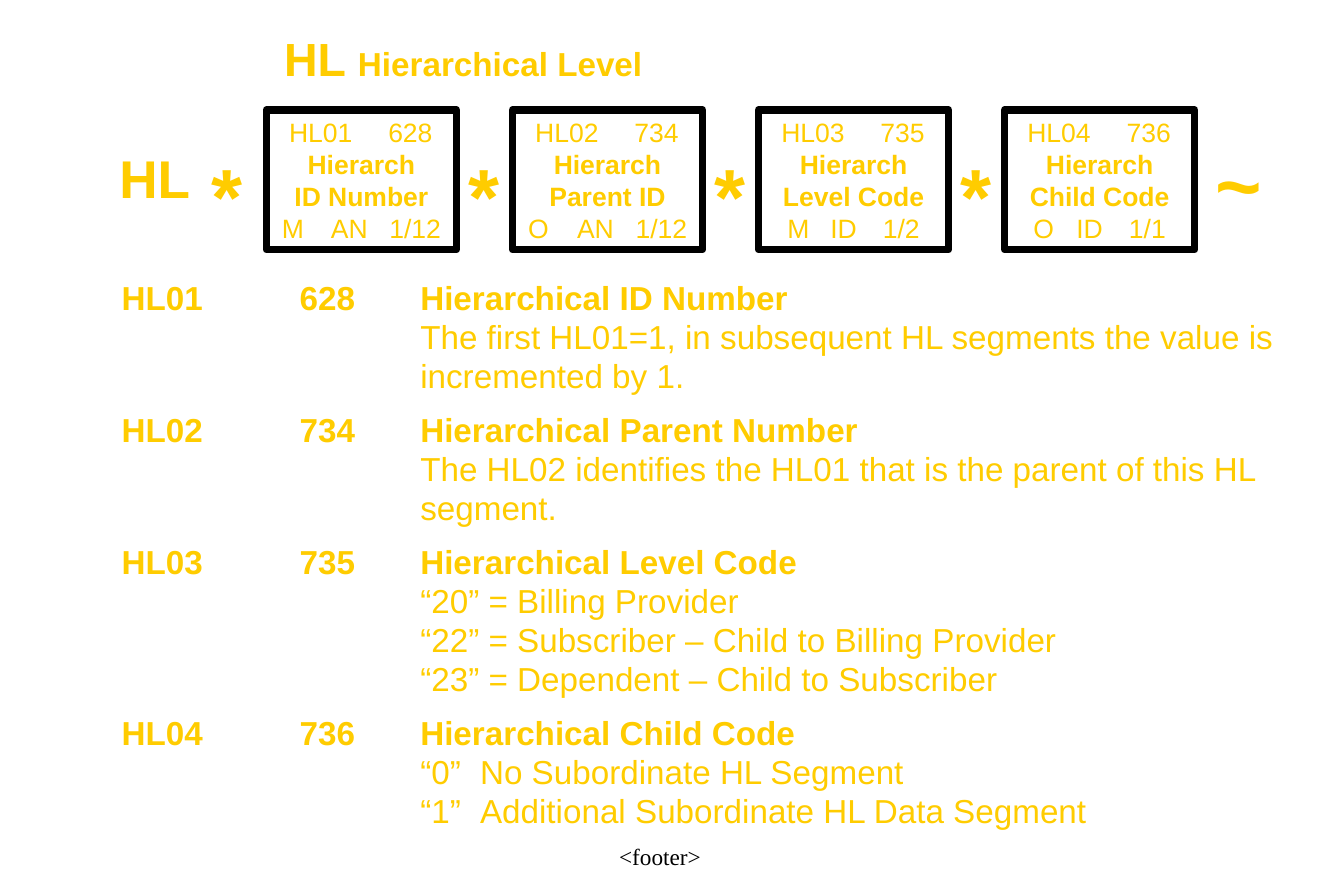
import pptx
import pptx.dml.color
import pptx.enum.shapes
import pptx.enum.text
import pptx.oxml.ns
import pptx.util
from lxml import etree
from pptx.util import Inches

GOLD = "FFCC00"
BLACK = "000000"
BOX_LEFT, BOX_STEP, BOX_WIDTH = 2.23, 2.06, 1.59
ID_STOPS = (0.19, 1.02)
LONG_STOPS = (0.13, 0.54, 1.03)
SHORT_STOPS = (0.24, 0.6, 1.04)
DETAIL_STOPS = (1.49, 2.5, 3)

# reference, number, name in box, requirement, type, length, stops of the type row
ELEMENTS = [
    ("HL01", "628", "ID Number", "M", "AN", "1/12", LONG_STOPS),
    ("HL02", "734", "Parent ID", "O", "AN", "1/12", LONG_STOPS),
    ("HL03", "735", "Level Code", "M", "ID", "1/2", SHORT_STOPS),
    ("HL04", "736", "Child Code", "O", "ID", "1/1", SHORT_STOPS),
]

DETAILS = [
    ("Hierarchical ID Number",
     ["The first HL01=1, in subsequent HL segments the value is",
      "incremented by 1."]),
    ("Hierarchical Parent Number",
     ["The HL02 identifies the HL01 that is the parent of this HL",
      "segment."]),
    ("Hierarchical Level Code",
     ["“20” = Billing Provider",
      "“22” = Subscriber – Child to Billing Provider",
      "“23” = Dependent – Child to Subscriber"]),
    ("Hierarchical Child Code",
     ["“0”\tNo Subordinate HL Segment",
      "“1”\tAdditional Subordinate HL Data Segment"]),
]


def rgb(color):
    return pptx.dml.color.RGBColor.from_string(color)


def set_tabs(paragraph, stops):
    tag = pptx.oxml.ns.qn
    tabs = etree.SubElement(paragraph._p.get_or_add_pPr(), tag("a:tabLst"))
    for stop in stops:
        etree.SubElement(tabs, tag("a:tab"), pos=str(Inches(stop)), algn="l")


def write_line(frame, text, size, bold=False, color=GOLD, font="Arial",
               align="LEFT", stops=(), before=0, spacing=None):
    """Fill the frame's empty first paragraph, or add one after the last."""
    line = frame.paragraphs[-1]
    if line.text:
        line = frame.add_paragraph()
    line.text = text
    if stops:
        set_tabs(line, stops)
    line.alignment = getattr(pptx.enum.text.PP_ALIGN, align)
    line.space_before = pptx.util.Pt(before)
    if spacing:
        line.line_spacing = pptx.util.Pt(spacing)
    line.font.name = font
    line.font.size = pptx.util.Pt(size)
    line.font.bold = bold
    line.font.color.rgb = rgb(color)
    return line


def add_text_frame(slide, left, top, width, height):
    frame = slide.shapes.add_textbox(
        Inches(left), Inches(top), Inches(width), Inches(height)).text_frame
    frame.word_wrap = True
    return frame


def add_symbol(slide, symbol, left, top):
    frame = add_text_frame(slide, left, top, 0.47, 0.9)
    write_line(frame, symbol, 48, bold=True, before=30)


def add_element_box(slide, left, element):
    reference, number, name, requirement, kind, length, stops = element
    box = slide.shapes.add_shape(
        pptx.enum.shapes.MSO_SHAPE.RECTANGLE,
        Inches(left), Inches(0.92), Inches(BOX_WIDTH), Inches(1.17))
    box.shadow.inherit = False
    box.fill.background()
    box.line.color.rgb = rgb(BLACK)
    box.line.width = pptx.util.Pt(4.5)
    frame = box.text_frame
    frame.word_wrap = True
    frame.margin_left = frame.margin_right = 0
    frame.vertical_anchor = pptx.enum.text.MSO_ANCHOR.MIDDLE
    write_line(frame, f"\t{reference}\t{number}", 16, stops=ID_STOPS)
    for label in ("Hierarch", name):
        write_line(frame, label, 16, bold=True, align="CENTER")
    write_line(frame, f"\t{requirement}\t{kind}\t{length}", 16, stops=stops)


def add_title(slide):
    frame = add_text_frame(slide, 2.28, 0.25, 8.5, 0.52)
    title = write_line(frame, "HL ", 28, bold=True, before=10, spacing=30)
    segment_name = title.add_run()
    segment_name.text = "Hierarchical Level"
    segment_name.font.size = pptx.util.Pt(20)


def add_details(slide):
    frame = add_text_frame(slide, 0.92, 2.33, 10, 4.67)
    for (reference, number, *_), (heading, notes) in zip(ELEMENTS, DETAILS):
        write_line(frame, f"{reference}\t{number}\t{heading}", 20, bold=True,
                   stops=DETAIL_STOPS, before=12.5, spacing=20)
        for note in notes:
            write_line(frame, f"\t\t{note}", 20, stops=DETAIL_STOPS,
                       before=12.5, spacing=11)


def main():
    deck = pptx.Presentation()
    deck.slide_width, deck.slide_height = Inches(11.25), Inches(7.5)
    slide = deck.slides.add_slide(deck.slide_layouts[6])

    footer = add_text_frame(slide, 0.37, 7, 10.31, 0.5)
    write_line(footer, "<footer>", 14, color=BLACK, font="Times New Roman",
               align="CENTER")
    add_title(slide)
    segment = add_text_frame(slide, 0.9, 1.17, 1.05, 0.64)
    write_line(segment, "HL", 32, bold=True)
    for index, element in enumerate(ELEMENTS):
        left = BOX_LEFT + index * BOX_STEP
        add_symbol(slide, "*", left - (0.47 if index else 0.56), 1.17)
        add_element_box(slide, left, element)
    add_symbol(slide, "~", 10.08, 1.08)
    add_details(slide)

    deck.save("out.pptx")


if __name__ == "__main__":
    main()
